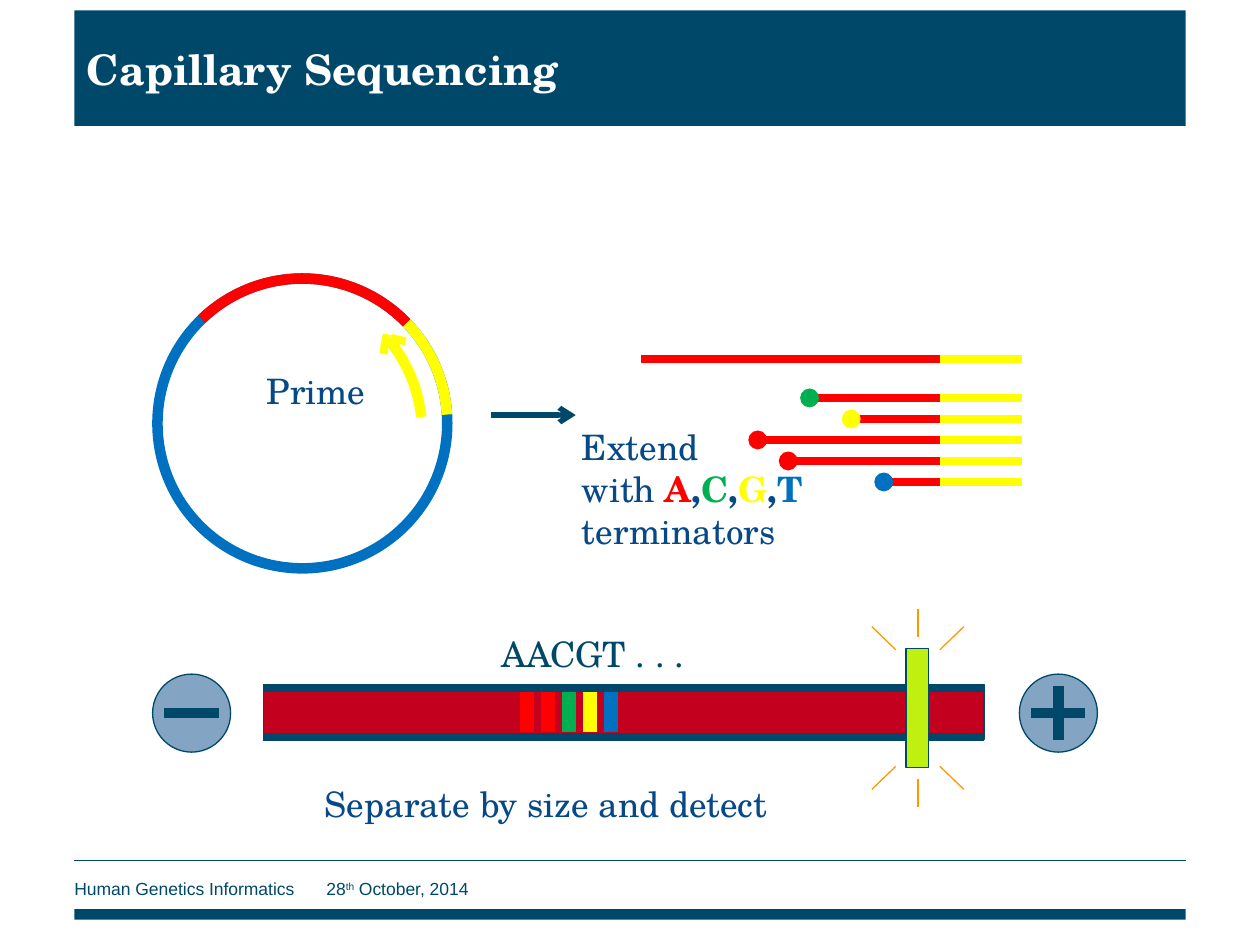
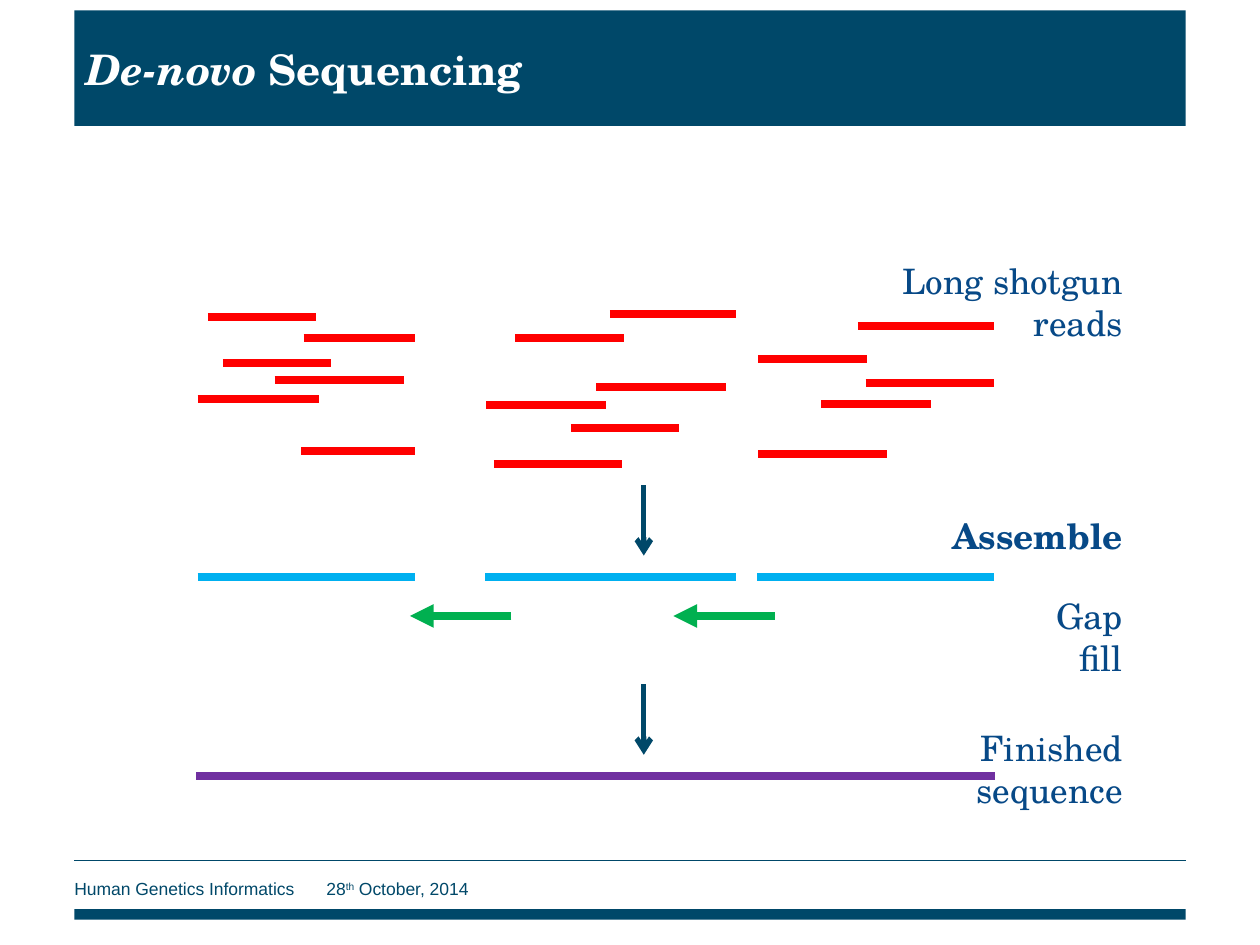
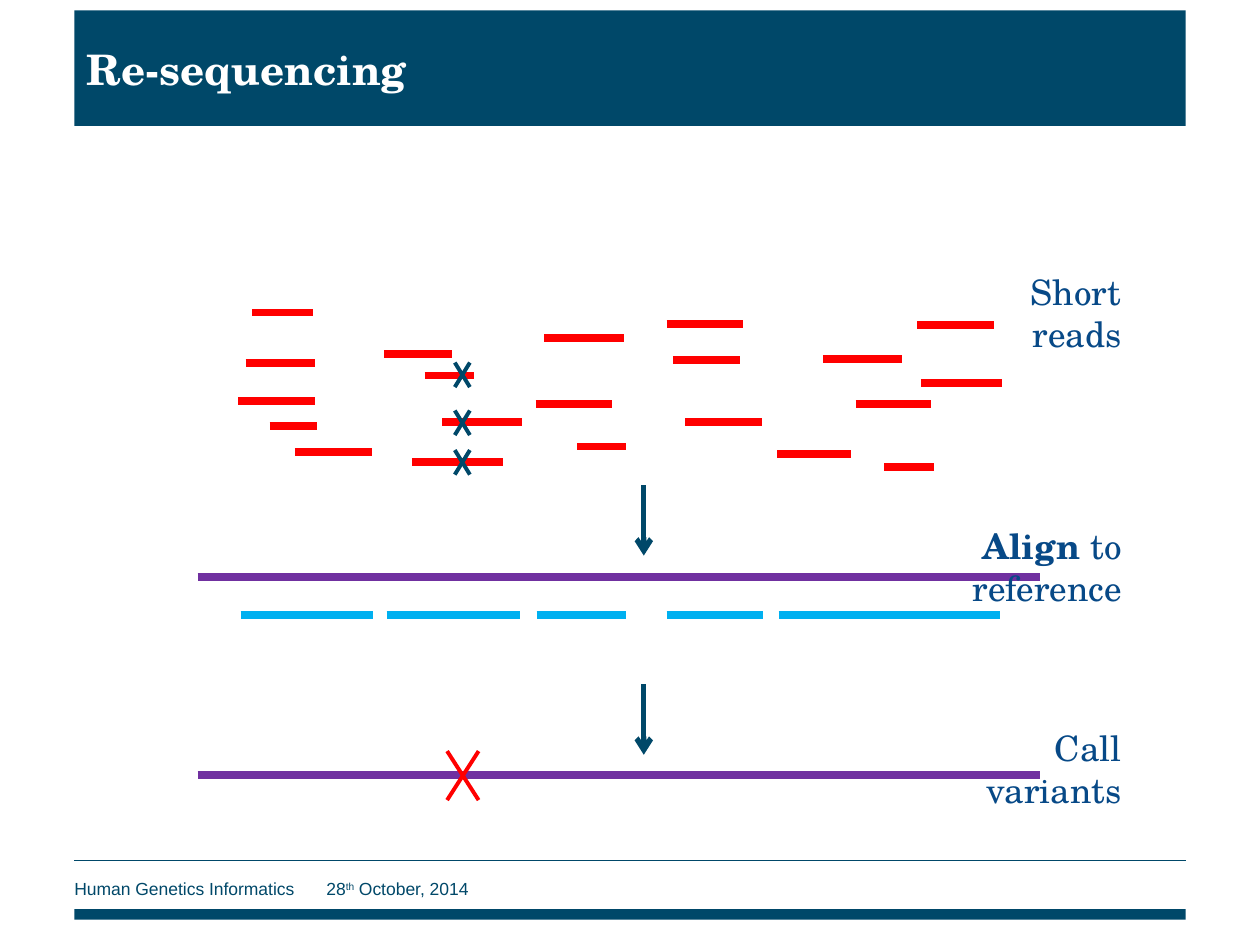
from dataclasses import dataclass

from lxml.etree import SubElement
from pptx import Presentation
from pptx.dml.color import RGBColor
from pptx.enum.shapes import MSO_CONNECTOR, MSO_SHAPE
from pptx.enum.text import MSO_ANCHOR, PP_ALIGN
from pptx.oxml.ns import qn
from pptx.util import Pt


@dataclass(frozen=True)
class Theme:
    navy: str = "004869"
    ink: str = "074987"
    white: str = "FFFFFF"
    red: str = "FF0000"
    green: str = "00B050"
    yellow: str = "FFFF00"
    blue: str = "0070C0"
    sky: str = "00B0F0"
    purple: str = "7030A0"
    tube: str = "C3001D"
    pole: str = "83A4C3"
    lime: str = "C0F010"
    ray: str = "FF9900"
    serif: str = "TeX Gyre Schola"
    sans: str = "Arial"
    head: float = 24
    body: float = 20
    foot: float = 10
    thin: float = 0.75
    mark: float = 2.25
    bold: float = 3
    strand: float = 4.5
    thick: float = 6
    band: float = 8


class Deck:
    def __init__(self, theme):
        self.theme = theme
        self.prs = Presentation()
        self.prs.slide_width, self.prs.slide_height = Pt(720), Pt(540)

    def page(self, *title):
        """Start a slide with its title band and footer."""
        t = self.theme
        self.slide = self.prs.slides.add_slide(self.prs.slide_layouts[6])
        left, wide = 42.5, 635
        self.shape(left, 519.6, wide, 6, t.navy)
        self.line(left, 491.8, left + wide, 491.8, t.navy, t.thin)
        foot = self.text(left, 498.2, 483, 19.6, [
            ("Human Genetics Informatics\t28", {}), ("th", {"raised": True}),
            (" October, 2014", {})], size=t.foot, face=t.sans, color=t.navy)
        foot.margin_left = 0
        foot.vertical_anchor = MSO_ANCHOR.MIDDLE
        band = self.shape(left, 6, wide, 66, t.navy)
        self.typeset(band.text_frame, title, size=t.head, color=t.white, bold=True)
        band.text_frame.vertical_anchor = MSO_ANCHOR.MIDDLE

    def typeset(self, frame, runs, size=None, face=None, color=None,
                bold=False, align=PP_ALIGN.LEFT):
        """Fill a frame; a run is a (text, style) pair, None starts a paragraph."""
        t = self.theme
        frame.word_wrap = True
        para = frame.paragraphs[0]
        para.alignment = align
        for item in runs:
            if item is None:
                para = frame.add_paragraph()
                para.alignment = align
                continue
            words, style = item
            run = para.add_run()
            run.text = words
            font = run.font
            font.name, font.size = face or t.serif, Pt(size or t.body)
            font.bold = style.get("bold", bold)
            font.italic = style.get("italic", False)
            font.color.rgb = RGBColor.from_string(style.get("color", color or t.ink))
            if style.get("raised"):
                run._r.get_or_add_rPr().set("baseline", "30000")

    def text(self, x, y, w, h, runs, **style):
        frame = self.slide.shapes.add_textbox(Pt(x), Pt(y), Pt(w), Pt(h)).text_frame
        self.typeset(frame, runs, **style)
        return frame

    def label(self, right, y, w, *runs):
        """Place a right-aligned caption that ends at the given edge."""
        self.text(right - w, y, w, 31.7, runs, align=PP_ALIGN.RIGHT)

    def shape(self, x, y, w, h, fill=None, edge=None, width=None,
              kind=MSO_SHAPE.RECTANGLE):
        item = self.slide.shapes.add_shape(kind, Pt(x), Pt(y), Pt(w), Pt(h))
        item.shadow.inherit = False
        if fill:
            item.fill.solid()
            item.fill.fore_color.rgb = RGBColor.from_string(fill)
        else:
            item.fill.background()
        if edge:
            item.line.color.rgb = RGBColor.from_string(edge)
            item.line.width = Pt(width or self.theme.thin)
        else:
            item.line.fill.background()
        return item

    def disc(self, x, y, size, fill=None, edge=None, width=None):
        """Draw a circle around a centre."""
        self.shape(x - size / 2, y - size / 2, size, size, fill, edge, width,
                   MSO_SHAPE.OVAL)

    def arc(self, x, y, size, start, end, color):
        """Draw an arc around a centre, clockwise, in degrees from the right."""
        item = self.shape(x - size / 2, y - size / 2, size, size, None, color,
                          self.theme.thick, MSO_SHAPE.ARC)
        for i, angle in enumerate((start, end)):
            item.adjustments[i] = angle * 0.6

    def line(self, x1, y1, x2, y2, color, width=None, tip=None):
        item = self.slide.shapes.add_connector(
            MSO_CONNECTOR.STRAIGHT, Pt(x1), Pt(y1), Pt(x2), Pt(y2))
        item.line.color.rgb = RGBColor.from_string(color)
        item.line.width = Pt(width or self.theme.strand)
        props = item._element.spPr
        if tip:
            SubElement(props.find(qn("a:ln")), qn("a:tailEnd"), type=tip)
        SubElement(props, qn("a:effectLst"))

    def bars(self, color, y, *spans):
        for start, end in spans:
            self.line(start, y, end, y, color)

    def reads(self, rows):
        for start, end, y in rows:
            self.bars(self.theme.red, y, (start, end))

    def steps(self):
        """Draw the two arrows that lead from stage to stage."""
        for y in (277.2, 391):
            self.line(367.9, y, 367.9, y + 40.3, self.theme.navy,
                      self.theme.bold, "arrow")

    def cross(self, x, y, dx, dy, color):
        for side in (dx, -dx):
            self.line(x - side, y - dy, x + side, y + dy, color, self.theme.mark)


def prime(deck):
    t = deck.theme
    x, y, size = 172.8, 242, 165.6
    deck.disc(x, y, size, edge=t.blue, width=t.thick)
    deck.arc(x, y, size, 316, 356.5, t.yellow)
    deck.arc(x, y, size, 226, 316, t.red)
    deck.arc(x - 14.4, y + 5, size, 320, 354, t.yellow)
    deck.line(221, 191, 219, 202.3, t.yellow)
    deck.line(223.2, 193, 231.8, 195.1, t.yellow)
    deck.text(145.4, 207.4, 113, 36.7, [("Prime", {})])
    deck.line(280.8, 237.2, 329, 237.2, t.navy, t.bold, "arrow")


def extend(deck):
    t = deck.theme
    join, end = 537, 584
    deck.bars(t.red, 205.2, (366.5, join))
    deck.bars(t.yellow, 205.2, (join, end))
    stops = [(462.6, t.green), (486.4, t.yellow), (433, t.red),
             (450.4, t.red), (505, t.blue)]
    for i, (x, color) in enumerate(stops):
        y = 227.4 + 12 * i
        deck.bars(t.red, y, (x, join))
        deck.bars(t.yellow, y, (join, end))
        deck.disc(x, y, 10.8, color)
    runs = [("Extend", {}), None, ("with ", {})]
    for base, color in zip("ACGT", (t.red, t.green, t.yellow, t.blue)):
        runs.append((base, {"color": color, "bold": True}))
        if base != "T":
            runs.append((",", {"bold": True}))
    runs.append((" terminators", {}))
    deck.text(325.4, 239.8, 171.4, 94.3, runs)


def detect(deck):
    t = deck.theme
    left, wide = 150.5, 411.8
    deck.shape(left, 391, wide, 31.7, t.tube, t.navy)
    for y in (393.1, 421.2):
        deck.bars(t.navy, y, (left, left + wide))
    for i, color in enumerate((t.red, t.red, t.green, t.yellow, t.blue)):
        x = 301 + 12 * i
        deck.line(x, 395.3, x, 418.3, color, t.band)
    mid, arm = 407.5, 15.5
    for x in (109.5, 604.8):
        deck.disc(x, mid, 44.6, t.pole, t.navy)
        deck.line(x - arm, mid, x + arm, mid, t.navy, t.thick)
    deck.line(x, mid - arm, x, mid + arm, t.navy, t.thick)
    deck.text(279.4, 357.8, 132.5, 36.7, [("AACGT . . .", {})], color=t.navy)
    deck.text(178.6, 443.5, 302.4, 36.7, [("Separate by size and detect", {})])
    deck.shape(517.7, 370.8, 13, 67.7, t.lime, t.navy)
    x, y = 524.5, 404.6
    for up in (-1, 1):
        for side in (-1, 0, 1):
            far, near = (46.5, 33.3) if side else (56.8, 40.4)
            deck.line(x + side * 26.3, y + up * far,
                      x + side * 12.6, y + up * near, t.ray, t.thin)


def novo(deck):
    t = deck.theme
    deck.reads([
        (127.4, 189.4, 207.4), (113, 182.2, 228.2), (172.1, 237, 257.8),
        (173.5, 237, 193), (157, 231.1, 217.4), (118.8, 180.7, 181.4),
        (326.2, 388.1, 244.8), (277.9, 346.3, 231.5), (348.5, 420.5, 179.3),
        (282.2, 355.7, 265.3), (340.6, 414.7, 221), (294.5, 356.4, 193),
        (469.4, 532.1, 231.1), (490.3, 568.1, 186.1), (494.6, 568.1, 218.9),
        (433.4, 507, 259.2), (433.4, 495.4, 205.2)])
    deck.bars(t.sky, 329.8, (113, 237), (277.2, 420.5), (432.7, 568.1))
    for x in (292.3, 442.8):
        deck.line(x, 352, x - 58, 352, t.green, tip="triangle")
    deck.bars(t.purple, 443.5, (112.3, 568.8))
    edge = 648.7
    deck.label(edge, 144.7, 190, ("Long shotgun reads", {}))
    deck.label(edge, 290.2, 118, ("Assemble", {"bold": True}))
    deck.label(edge, 336.2, 79.9, ("Gap fill", {}))
    deck.label(edge, 411.8, 179.3, ("Finished sequence", {}))
    deck.steps()


def align(deck):
    t = deck.theme
    deck.reads([
        (140.4, 180, 207.4), (136.1, 180, 229), (168.5, 212.4, 258.5),
        (219.6, 258.5, 202.3), (242.6, 270.7, 214.6), (154.1, 181.4, 243.4),
        (144, 178.6, 178.6), (252.7, 298.1, 241.2), (306, 350, 231.1),
        (381, 424.8, 185), (235.4, 287.3, 264.2), (384.5, 422.6, 205.6),
        (329.8, 357.8, 255.2), (311, 356.4, 193.3), (489, 532.1, 231.1),
        (391.7, 435.6, 241.2), (524.2, 568.1, 185.8), (526.3, 572.4, 218.9),
        (444.2, 486, 259.2), (505.4, 533.5, 267.1), (470.2, 515.5, 205.2)])
    for y in (329.8, 442.8):
        deck.bars(t.purple, y, (113, 594))
    deck.bars(t.sky, 351.4, (137.5, 213.1), (221, 297.4), (306.7, 357.8),
              (381, 436.3), (445, 571.7))
    edge = 648
    deck.label(edge, 151.2, 117.4, ("Short reads", {}))
    deck.label(edge, 296, 180.7, ("Align ", {"bold": True}), ("to reference", {}))
    deck.label(edge, 411.8, 126.7, ("Call variants", {}))
    deck.steps()
    deck.cross(264.5, 443.2, 9, 14, t.red)
    for y in (214.2, 241.6, 264.2):
        deck.cross(264.2, y, 4.3, 7, t.navy)


def main():
    deck = Deck(Theme())
    deck.page(("Capillary Sequencing", {}))
    prime(deck)
    extend(deck)
    detect(deck)
    deck.page(("De-novo", {"italic": True}), (" Sequencing", {}))
    novo(deck)
    deck.page(("Re-sequencing", {}))
    align(deck)
    deck.prs.save("out.pptx")


if __name__ == "__main__":
    main()
